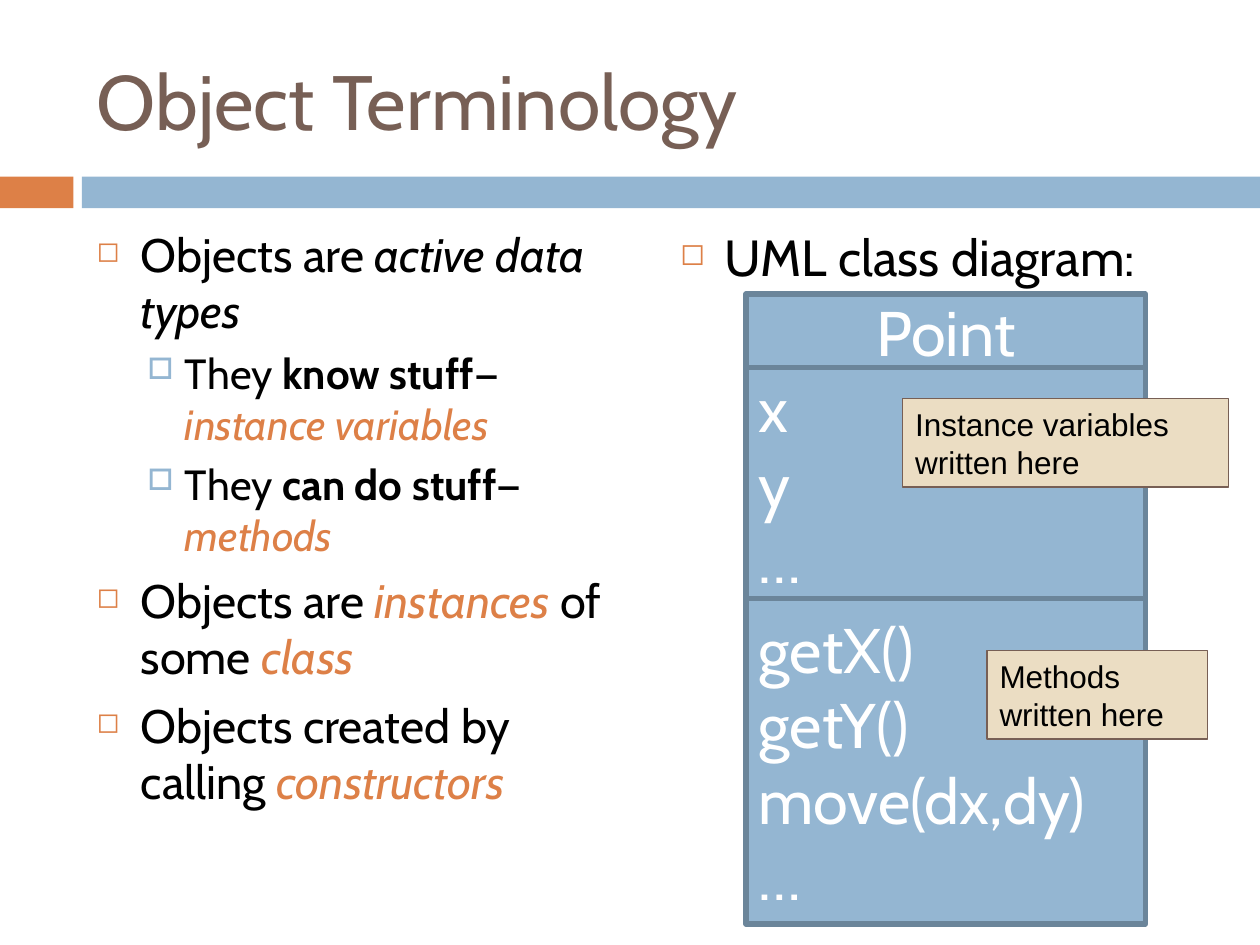
"""Build the Object Terminology slide with its UML class diagram."""
from lxml import etree
from pptx import Presentation
from pptx.dml.color import RGBColor
from pptx.enum.shapes import MSO_SHAPE
from pptx.enum.text import MSO_ANCHOR, MSO_AUTO_SIZE, PP_ALIGN
from pptx.oxml.ns import qn
from pptx.util import Cm, Pt

RECTANGLE = MSO_SHAPE.RECTANGLE
TOP, MIDDLE = MSO_ANCHOR.TOP, MSO_ANCHOR.MIDDLE
LEFT, CENTER = PP_ALIGN.LEFT, PP_ALIGN.CENTER
FIT_SHAPE = MSO_AUTO_SIZE.SHAPE_TO_FIT_TEXT
ORANGE = RGBColor(0xDD, 0x80, 0x47)
BLUE = RGBColor(0x94, 0xB6, 0xD2)
SLATE = RGBColor(0x6B, 0x85, 0x9A)
BROWN = RGBColor(0x77, 0x5F, 0x55)
SAND = RGBColor(0xEB, 0xDD, 0xC3)
BLACK = RGBColor(0, 0, 0)
WHITE = RGBColor(0xFF, 0xFF, 0xFF)

PLAIN = {"italic": False, "bold": False}
ITALIC = {"italic": True}
BOLD = {"bold": True}
TERM = {"italic": True, "color": ORANGE}
BULLETS = [
    {"char": "◻", "color": ORANGE, "percent": 60, "margin": 0.89, "hanging": 0.89, "before": 7},
    {"char": "□", "color": BLUE, "percent": 70, "margin": 1.78, "hanging": 0.76, "before": 5.5},
]


def add_panel(shapes, area, fill, outline=None, weight=0):
    panel = shapes.add_shape(RECTANGLE, *map(Cm, area))
    panel.shadow.inherit = False
    panel.fill.solid()
    panel.fill.fore_color.rgb = fill
    if outline is None:
        panel.line.fill.background()
    else:
        panel.line.color.rgb = outline
        panel.line.width = Pt(weight)
    return panel


def write(paragraph, runs, size, color, name="Cabin"):
    for text, look in runs:
        run = paragraph.add_run()
        run.text = text
        values = {"name": name, "size": Pt(size), **PLAIN, **look}
        run.font.color.rgb = values.pop("color", color)
        for attribute, value in values.items():
            setattr(run.font, attribute, value)


deck = Presentation()
deck.slide_width, deck.slide_height = Cm(25.4), Cm(19.05)
slide = deck.slides.add_slide(deck.slide_layouts[6])

add_panel(slide.shapes, (0, 3.56, 1.48, 0.64), ORANGE)
add_panel(slide.shapes, (1.65, 3.56, 23.75, 0.64), BLUE)

heading = slide.shapes.add_textbox(Cm(1.7), Cm(0.64), Cm(22.66), Cm(2.74)).text_frame
heading.word_wrap = True
heading.vertical_anchor = MIDDLE
write(heading.paragraphs[0], [("Object Terminology", {})], 44, BROWN)

concepts = [
    (0, 26.8, [("Objects are ", {}), ("active data types", ITALIC)]),
    (1, 24.1, [("They ", {}), ("know stuff", BOLD), ("—", {}), ("instance variables", TERM)]),
    (1, 24.1, [("They ", {}), ("can do stuff", BOLD), ("—", {}), ("methods", TERM)]),
    (0, 26.8, [("Objects are ", {}), ("instances ", TERM), ("of some ", {}), ("class", TERM)]),
    (0, 26.8, [("Objects created by calling ", {}), ("constructors", TERM)]),
]
diagram_intro = [(0, 29, [("UML class diagram:", {})])]

for left, points in ((1.7, concepts), (13.46, diagram_intro)):
    column = slide.shapes.add_textbox(Cm(left), Cm(4.42), Cm(10.8), Cm(12.7)).text_frame
    column.word_wrap = True
    for index, (level, size, runs) in enumerate(points):
        point = column.add_paragraph() if index else column.paragraphs[0]
        bullet = BULLETS[level]
        point.level = level
        point.space_before = Pt(bullet["before"])
        properties = point._p.get_or_add_pPr()
        properties.set("marL", str(Cm(bullet["margin"])))
        properties.set("indent", str(-Cm(bullet["hanging"])))
        bullet_color = etree.SubElement(properties, qn("a:buClr"))
        etree.SubElement(bullet_color, qn("a:srgbClr"), val=str(bullet["color"]))
        etree.SubElement(properties, qn("a:buSzPct"), val=str(bullet["percent"] * 1000))
        etree.SubElement(properties, qn("a:buChar"), char=bullet["char"])
        write(point, runs, size, BLACK)

class_diagram = slide.shapes.add_group_shape()
compartments = [
    (1.48, CENTER, ["Point"]),
    (4.66, LEFT, ["x", "y", "…"]),
    (6.56, LEFT, ["getX()", "getY()", "move(dx,dy)", "…"]),
]
top = 5.93
for height, alignment, members in compartments:
    compartment = add_panel(class_diagram.shapes, (15.04, top, 8.05, height), BLUE, SLATE, 3)
    frame = compartment.text_frame
    frame.vertical_anchor = MIDDLE
    for index, member in enumerate(members):
        row = frame.add_paragraph() if index else frame.paragraphs[0]
        row.alignment = alignment
        write(row, [(member, {})], 36, WHITE)
    top += height

notes = [
    ((18.2, 8.04, 6.56, 1.78), "Instance variables"),
    ((19.9, 13.12, 4.45, 1.78), "Methods"),
]
for area, subject in notes:
    frame = add_panel(slide.shapes, area, SAND, BROWN, 0.75).text_frame
    frame.word_wrap = True
    frame.auto_size = FIT_SHAPE
    frame.vertical_anchor = TOP
    note = frame.paragraphs[0]
    note.alignment = LEFT
    write(note, [(subject, {})], 18, BLACK, "Arial")
    note.add_line_break()
    write(note, [("written here", {})], 18, BLACK, "Arial")

deck.save("out.pptx")
